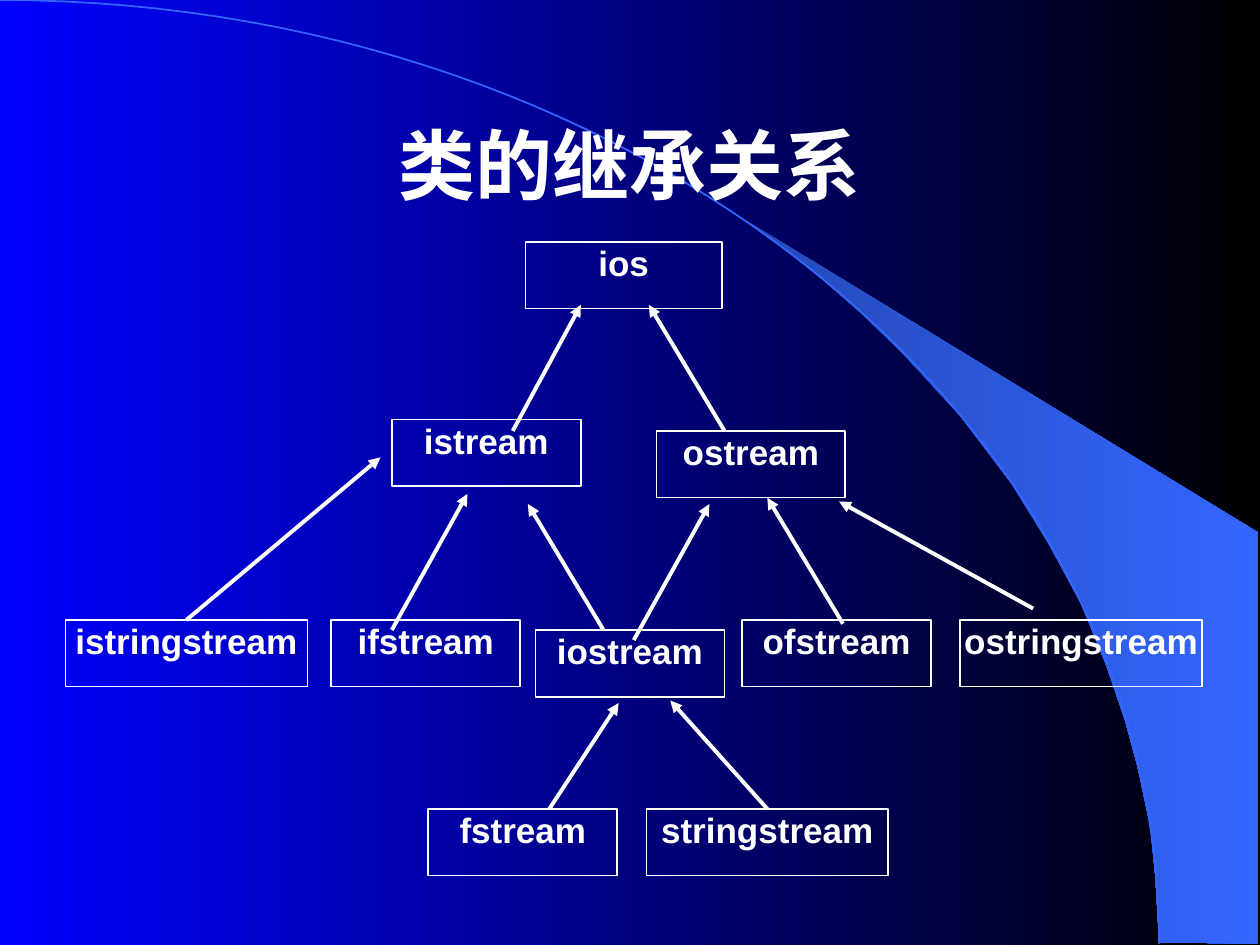
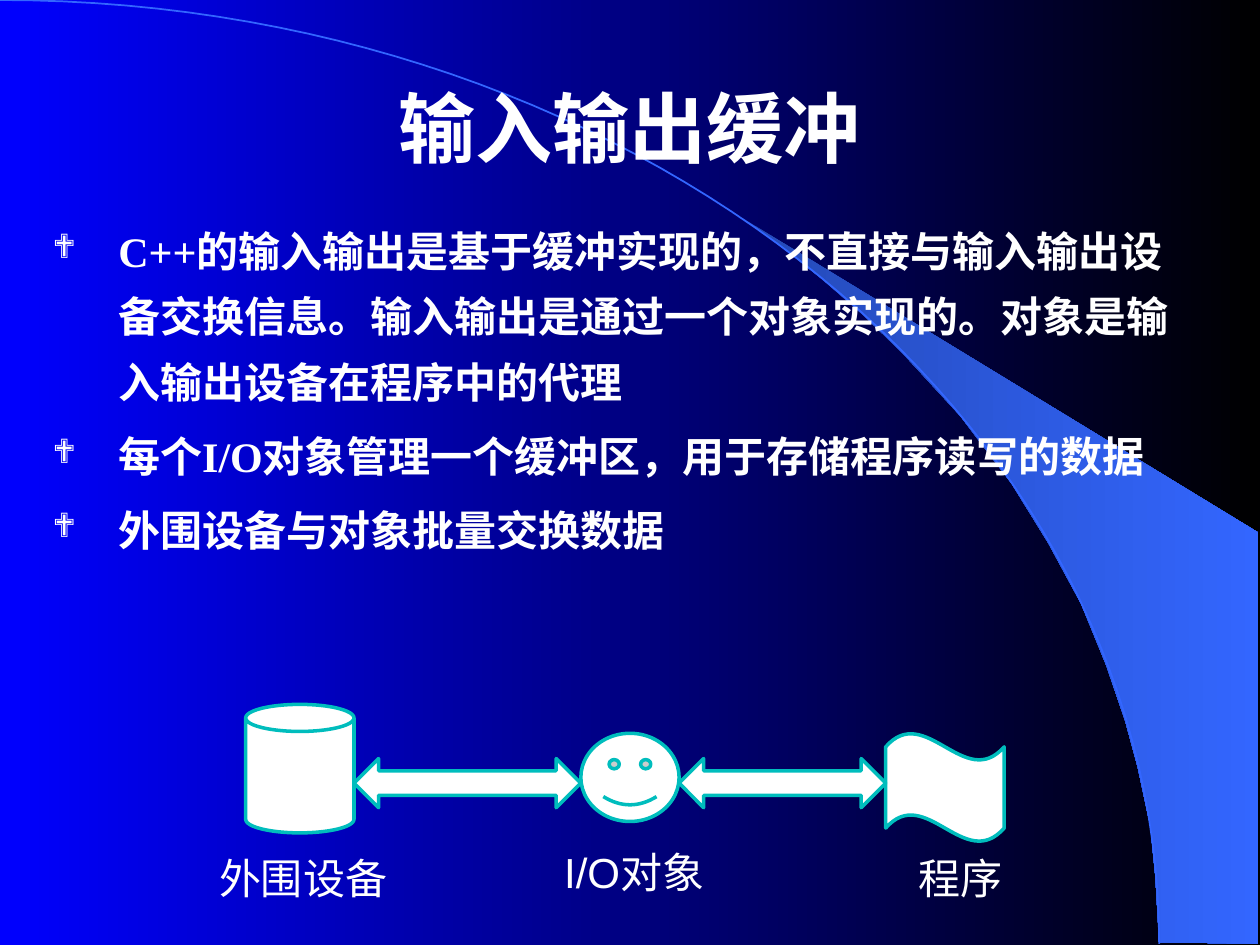
from lxml import etree
from pptx import Presentation, util as u
from pptx.dml.color import RGBColor
from pptx.enum import shapes as s, text as t
from pptx.oxml.ns import qn

WHITE = RGBColor(0xFF, 0xFF, 0xFF)
BLACK = RGBColor(0x00, 0x00, 0x00)
BLUE = RGBColor(0x00, 0x00, 0xFF)
DEEP_BLUE = RGBColor(0x24, 0x49, 0xB6)
BRIGHT_BLUE = RGBColor(0x33, 0x66, 0xFF)
TEAL = RGBColor(0x00, 0xBD, 0xBD)
SANS, SERIF = "Arial", "Times New Roman"

# Shared backdrop: a bright wedge behind a quarter arc
WEDGE = [(9.2, 7.48), (9.99, 7.49), (9.99, 4.23), (5.89, 1.73), (6.24, 1.99),
         (6.53, 2.22), (6.85, 2.5), (7.16, 2.8), (7.62, 3.3), (8.03, 3.84),
         (8.32, 4.31), (8.58, 4.79), (8.78, 5.28), (8.93, 5.72), (9.03, 6.09),
         (9.13, 6.56), (9.17, 6.96)]
ARC = [(0, 0), (5.08, 0), (9.2, 3.35), (9.2, 7.49)]
ARC_STEPS = 60

# Class boxes: name, left, top, width
NORMAL, WIDE, BOX_HEIGHT = 1.5, 1.92, 0.53
CLASSES = [
    ("ios", 4.17, 1.92, 1.56),
    ("istream", 3.11, 3.33, NORMAL),
    ("ostream", 5.21, 3.42, NORMAL),
    ("istringstream", 0.52, 4.92, WIDE),
    ("ifstream", 2.63, 4.92, NORMAL),
    ("iostream", 4.25, 5, NORMAL),
    ("ofstream", 5.89, 4.92, NORMAL),
    ("ostringstream", 7.62, 4.92, WIDE),
    ("fstream", 3.4, 6.42, NORMAL),
    ("stringstream", 5.13, 6.42, WIDE),
]
# Inheritance arrows, from derived class to base class
INHERITANCE = [
    ((4.07, 3.42), (4.61, 2.42)),  # istream to ios
    ((5.75, 3.42), (5.15, 2.42)),  # ostream to ios
    ((1.48, 4.92), (3.02, 3.63)),  # istringstream to istream
    ((3.11, 5), (3.71, 3.92)),     # ifstream to istream
    ((4.79, 5), (4.19, 4)),        # iostream to istream
    ((5.03, 5.08), (5.63, 4)),     # iostream to ostream
    ((6.69, 4.95), (6.09, 3.95)),  # ofstream to ostream
    ((8.2, 4.83), (6.66, 3.98)),   # ostringstream to ostream
    ((4.36, 6.42), (4.91, 5.58)),  # fstream to iostream
    ((6.09, 6.42), (5.32, 5.56)),  # stringstream to iostream
]

BUFFER_POINTS = [
    "C++的输入输出是基于缓冲实现的，不直接与输入输出设备交换信息。"
    "输入输出是通过一个对象实现的。对象是输入输出设备在程序中的代理",
    "每个I/O对象管理一个缓冲区，用于存储程序读写的数据",
    "外围设备与对象批量交换数据",
]
# Data flow: preset, its place, label, label place
FLOW = [
    (s.MSO_SHAPE.CAN, (1.95, 5.59, 0.86, 1.02), "外围设备", (1.64, 6.72, 1.56, 0.51)),
    (s.MSO_SHAPE.SMILEY_FACE, (4.61, 5.82, 0.78, 0.7), "I/O对象", (4.38, 6.67, 1.56, 0.51)),
    (s.MSO_SHAPE.WAVE, (7.03, 5.82, 0.94, 0.86), "程序", (7.19, 6.72, 1.09, 0.51)),
]
EXCHANGE_TOP, EXCHANGE_HEIGHT = 6.02, 0.39


def inches(values):
    """Turn numbers into lengths."""
    return [u.Inches(value) for value in values]


def set_gradient(fill, start, end):
    """Fill from left to right with two colours."""
    fill.gradient()
    fill.gradient_angle = 0
    for stop, colour in zip(fill.gradient_stops, (start, end)):
        stop.color.rgb = colour


def set_outline(line, colour, width):
    """Give a line its colour and width in points."""
    line.color.rgb = colour
    line.width = u.Pt(width)


def write_text(shape, *paragraphs, size=24, font=SANS, bold=False, align=t.PP_ALIGN.LEFT,
               anchor=t.MSO_ANCHOR.TOP, margin=None, line_spacing=None,
               space_before=0, bullet=None, indent=0.52):
    """Write white paragraphs into a shape."""
    frame = shape.text_frame
    frame.word_wrap = True
    frame.vertical_anchor = anchor
    if margin is not None:
        frame.margin_left = frame.margin_right = u.Inches(margin)
        frame.margin_top = frame.margin_bottom = u.Inches(margin)
    for index, words in enumerate(paragraphs):
        paragraph = frame.add_paragraph() if index else frame.paragraphs[0]
        paragraph.alignment = align
        paragraph.line_spacing = line_spacing
        paragraph.space_before = u.Pt(space_before)
        run = paragraph.add_run()
        run.text = words
        run.font.size, run.font.name, run.font.bold = u.Pt(size), font, bold
        run.font.color.rgb = WHITE
        if bullet:
            add_bullet(paragraph, bullet, indent)


def add_bullet(paragraph, mark, indent):
    """Hang a white bullet at 80% size before a paragraph."""
    props = paragraph._p.get_or_add_pPr()
    props.set("marL", str(u.Inches(indent)))
    props.set("indent", str(-u.Inches(indent)))
    colour = etree.SubElement(props, qn("a:buClr"))
    etree.SubElement(colour, qn("a:srgbClr"), val=str(WHITE))
    etree.SubElement(props, qn("a:buSzPct"), val="80000")
    etree.SubElement(props, qn("a:buFont"), typeface="Wingdings")
    etree.SubElement(props, qn("a:buChar"), char=mark)


def add_outline(slide, points, close):
    """Draw a freeform through points in inches."""
    corners = [inches(point) for point in points]
    builder = slide.shapes.build_freeform(*corners[0])
    builder.add_line_segments(corners[1:], close=close)
    shape = builder.convert_to_shape()
    shape.shadow.inherit = False
    return shape


def arc_points():
    """Sample the Bezier arc at equal steps."""
    points = []
    for step in range(ARC_STEPS + 1):
        k = step / ARC_STEPS
        weights = ((1 - k) ** 3, 3 * k * (1 - k) ** 2, 3 * k ** 2 * (1 - k), k ** 3)
        points.append([sum(w * p[axis] for w, p in zip(weights, ARC)) for axis in (0, 1)])
    return points


def add_slide(prs, title, title_top):
    """Add a slide with the shared backdrop and title style."""
    slide = prs.slides.add_slide(prs.slide_layouts[6])
    set_gradient(slide.background.fill, BLUE, BLACK)
    wedge = add_outline(slide, WEDGE, close=True)
    set_gradient(wedge.fill, DEEP_BLUE, BRIGHT_BLUE)
    wedge.line.fill.background()
    arc = add_outline(slide, arc_points(), close=False)
    arc.fill.background()
    set_outline(arc.line, BRIGHT_BLUE, 1)
    heading = slide.shapes.add_textbox(*inches((0.75, title_top, 8.5, 1.25)))
    write_text(heading, title, size=44, bold=True, align=t.PP_ALIGN.CENTER,
               anchor=t.MSO_ANCHOR.MIDDLE)
    return slide


def add_preset(slide, preset, place, line_colour, width, fill=None):
    """Add a preset shape, unfilled unless a fill is given."""
    shape = slide.shapes.add_shape(preset, *inches(place))
    shape.shadow.inherit = False
    if fill is None:
        shape.fill.background()
    else:
        shape.fill.solid()
        shape.fill.fore_color.rgb = fill
    set_outline(shape.line, line_colour, width)
    return shape


def add_arrow(slide, start, end):
    """Draw a white arrow pointing at its end."""
    arrow = slide.shapes.add_connector(s.MSO_CONNECTOR.STRAIGHT, *inches(start + end))
    set_outline(arrow.line, WHITE, 2.25)
    etree.SubElement(arrow.line._get_or_add_ln(), qn("a:tailEnd"), type="triangle")
    etree.SubElement(arrow._element.spPr, qn("a:effectLst"))


def build_inheritance(prs):
    """Build the class hierarchy slide."""
    slide = add_slide(prs, "类的继承关系", 0.67)
    for name, left, top, width in CLASSES:
        box = add_preset(slide, s.MSO_SHAPE.RECTANGLE, (left, top, width, BOX_HEIGHT), WHITE, 1)
        write_text(box, name, size=20, bold=True, align=t.PP_ALIGN.CENTER, margin=0)
    for derived, base in INHERITANCE:
        add_arrow(slide, derived, base)


def build_buffering(prs):
    """Build the buffering slide with its data flow."""
    slide = add_slide(prs, "输入输出缓冲", 0.38)
    body = slide.shapes.add_textbox(*inches((0.32, 1.62, 9.32, 5.56)))
    write_text(body, *BUFFER_POINTS, font=SERIF, bold=True, line_spacing=1.3,
               space_before=4.8, bullet="❖")
    for preset, place, label, label_place in FLOW:
        add_preset(slide, preset, place, TEAL, 2, fill=WHITE)
        caption = slide.shapes.add_textbox(*inches(label_place))
        write_text(caption, label)
        caption.text_frame.auto_size = t.MSO_AUTO_SIZE.SHAPE_TO_FIT_TEXT
    for (_, source, *_), (_, target, *_) in zip(FLOW, FLOW[1:]):
        left = source[0] + source[2]
        place = (left, EXCHANGE_TOP, target[0] - left, EXCHANGE_HEIGHT)
        add_preset(slide, s.MSO_SHAPE.LEFT_RIGHT_ARROW, place, TEAL, 2, fill=WHITE)


def main():
    """Build and save the slides."""
    prs = Presentation()
    prs.slide_width, prs.slide_height = inches((10, 7.5))
    build_inheritance(prs)
    build_buffering(prs)
    prs.save("out.pptx")


main()
